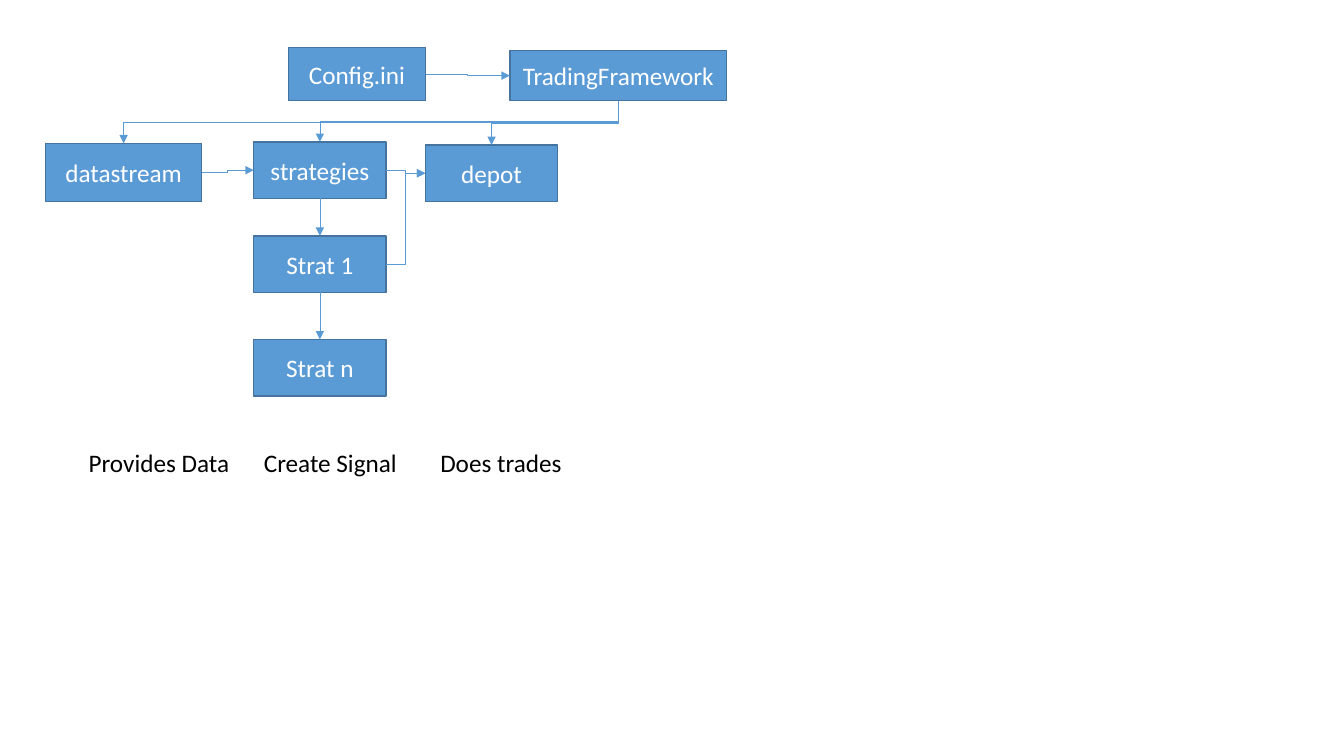
from typing import NamedTuple

from lxml import etree
from pptx import Presentation
from pptx.dml.color import RGBColor
from pptx.enum import shapes, text
from pptx.oxml import ns
from pptx.util import Pt

FONT, FONT_SIZE = "Calibri", 18
BLUE, DARK_BLUE, WHITE, BLACK = "5B9BD5", "43739E", "FFFFFF", "000000"
TOP, LEFT, BOTTOM, RIGHT = range(4)  # connection sites of a rectangle


class Component(NamedTuple):
    """A labelled box or caption; lengths in points."""
    label: str
    left: float
    top: float
    width: float
    height: float


class Link(NamedTuple):
    """An arrow between two components, sideways or downwards."""
    source: str
    target: str
    downward: bool = False


STRATEGY_LEFT, STRATEGY_WIDTH, STRATEGY_HEIGHT = 181.2, 94.6, 40.4
COMPONENTS = [
    Component("TradingFramework", 364.2, 36, 155, 36),
    Component("Config.ini", 206, 34, 98, 38),
    Component("datastream", 32.4, 102.4, 111.8, 41.6),
    Component("depot", 303.8, 103.6, STRATEGY_WIDTH, STRATEGY_HEIGHT),
    *(Component(label, STRATEGY_LEFT, top, STRATEGY_WIDTH, STRATEGY_HEIGHT)
      for label, top in [("strategies", 101.4), ("Strat 1", 168.5), ("Strat n", 242.4)]),
]
LINKS = [
    Link("Config.ini", "TradingFramework"),
    Link("datastream", "strategies"),
    Link("strategies", "depot"),
    Link("Strat 1", "depot"),
    *(Link("TradingFramework", part, True) for part in ("datastream", "strategies", "depot")),
    Link("strategies", "Strat 1", True),
    Link("Strat 1", "Strat n", True),
]
CAPTIONS = [
    Component("Provides Data", 56.2, 316, 125.2, 29),
    Component("Create Signal", 181.4, 316, 114.5, 29),
    Component("Does trades", 307.4, 316, 114.5, 29),
]


def rgb(value: str) -> RGBColor:
    """Turn a hex string into a colour."""
    return RGBColor.from_string(value)


def write(shape, label: str, colour: str, align) -> None:
    """Put one line of styled text in a shape."""
    shape.text_frame.word_wrap = True
    paragraph = shape.text_frame.paragraphs[0]
    paragraph.text = label
    paragraph.alignment = align
    paragraph.font.name = FONT
    paragraph.font.size = Pt(FONT_SIZE)
    paragraph.font.color.rgb = rgb(colour)


def draw_component(slide, component: Component):
    """Draw a filled box with centred text and return it."""
    box = slide.shapes.add_shape(shapes.MSO_SHAPE.RECTANGLE, *map(Pt, component[1:]))
    box.shadow.inherit = False
    box.fill.solid()
    box.fill.fore_color.rgb = rgb(BLUE)
    box.line.color.rgb = rgb(DARK_BLUE)
    box.line.width = Pt(1)
    box.text_frame.vertical_anchor = text.MSO_ANCHOR.MIDDLE
    write(box, component.label, WHITE, text.PP_ALIGN.CENTER)
    return box


def draw_caption(slide, caption: Component) -> None:
    """Draw a plain text caption."""
    box = slide.shapes.add_textbox(*map(Pt, caption[1:]))
    write(box, caption.label, BLACK, text.PP_ALIGN.LEFT)


def turn_downward(arrow) -> None:
    """Rotate a down-left elbow so that it leaves and arrives vertically."""
    centre_x = arrow.left + arrow.width // 2
    centre_y = arrow.top + arrow.height // 2
    arrow.width, arrow.height = arrow.height, arrow.width
    arrow.left = centre_x - arrow.width // 2
    arrow.top = centre_y - arrow.height // 2
    frame = arrow._element.spPr.find(ns.qn("a:xfrm"))
    frame.attrib.pop("flipH", None)
    frame.set("rot", str(90 * 60000))


def draw_link(slide, link: Link, boxes: dict) -> None:
    """Draw an elbow arrow glued to its two boxes."""
    arrow = slide.shapes.add_connector(shapes.MSO_CONNECTOR.ELBOW, 0, 0, 0, 0)
    start, end = (BOTTOM, TOP) if link.downward else (RIGHT, LEFT)
    arrow.begin_connect(boxes[link.source], start)
    arrow.end_connect(boxes[link.target], end)
    if link.downward:
        turn_downward(arrow)
    arrow.line.color.rgb = rgb(BLUE)
    arrow.line.width = Pt(0.5)
    etree.SubElement(arrow.line._get_or_add_ln(), ns.qn("a:tailEnd"), type="triangle")
    etree.SubElement(arrow._element.spPr, ns.qn("a:effectLst"))


def main() -> None:
    """Build the slide and save it."""
    deck = Presentation()
    deck.slide_width, deck.slide_height = Pt(960), Pt(540)
    slide = deck.slides.add_slide(deck.slide_layouts[6])
    boxes = {part.label: draw_component(slide, part) for part in COMPONENTS}
    for link in LINKS:
        draw_link(slide, link, boxes)
    for caption in CAPTIONS:
        draw_caption(slide, caption)
    deck.save("out.pptx")


main()
